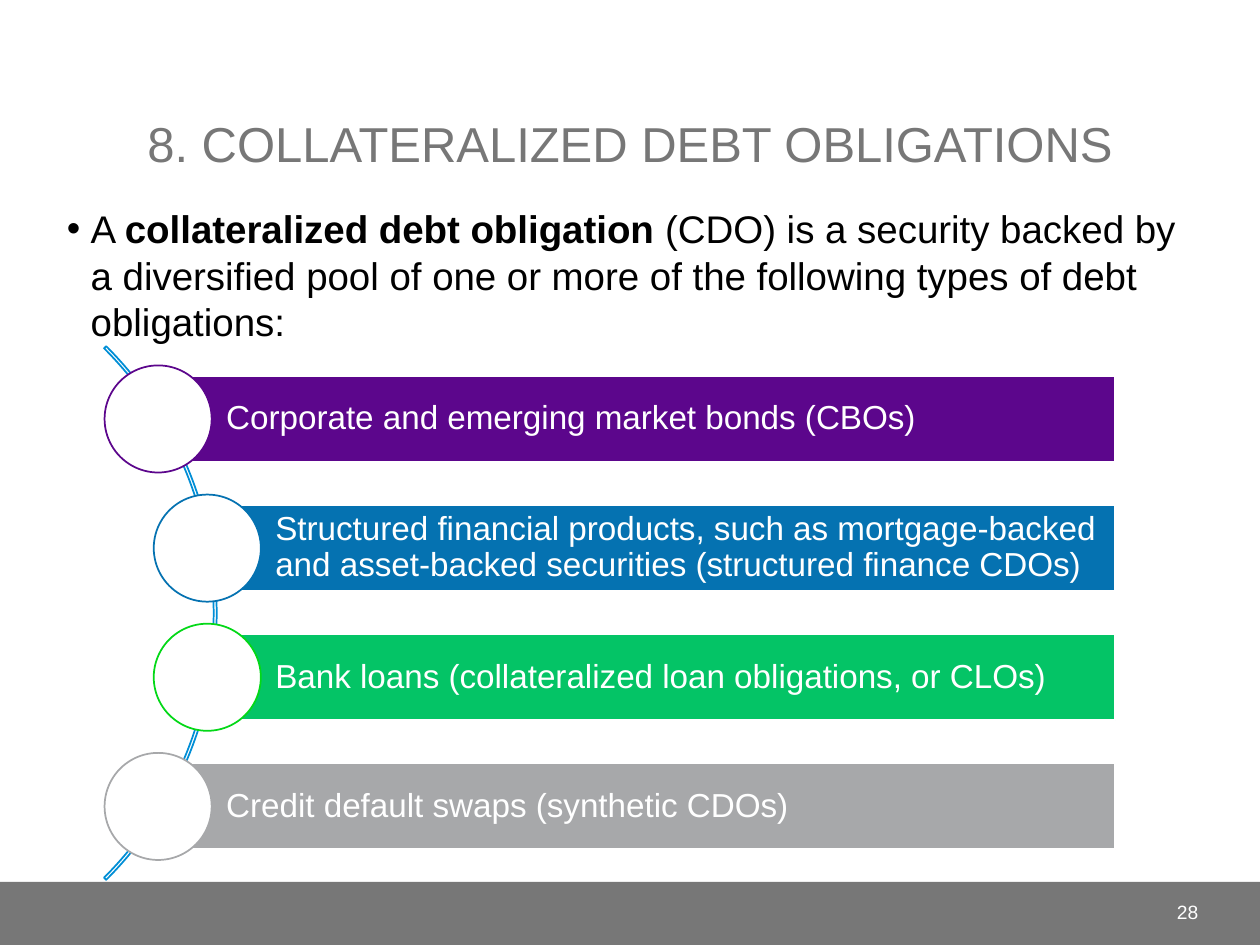
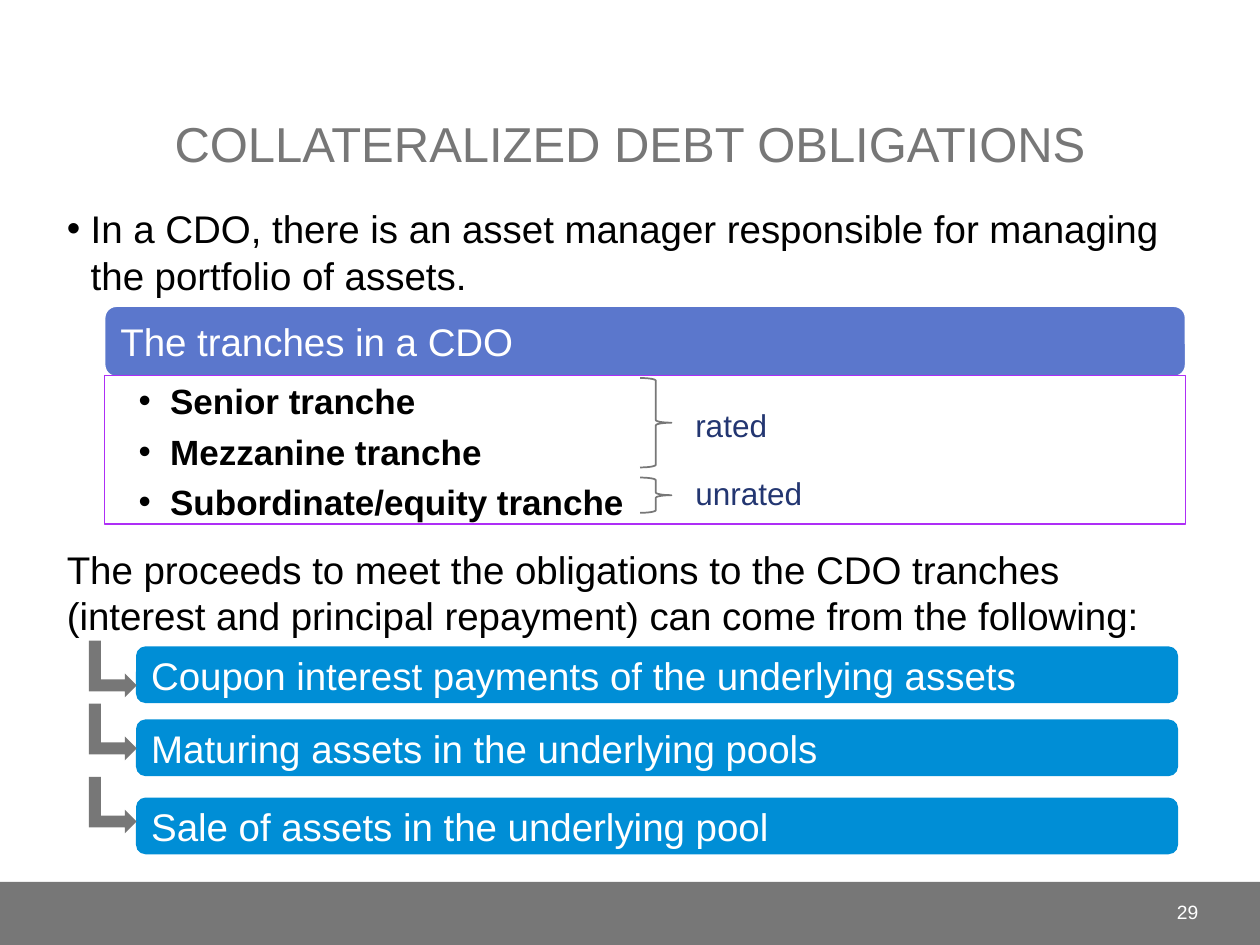
from lxml.etree import SubElement
from pptx import Presentation
from pptx.dml.color import RGBColor
from pptx.enum.shapes import MSO_SHAPE
from pptx.enum.text import MSO_ANCHOR, MSO_AUTO_SIZE, PP_ALIGN
from pptx.oxml.ns import qn
from pptx.util import Inches, Pt

FONT = "Arial"
WHITE = RGBColor(0xFF, 0xFF, 0xFF)
BLACK = RGBColor(0x00, 0x00, 0x00)
GREY = RGBColor(0x77, 0x77, 0x77)
BLUE = RGBColor(0x00, 0x8E, 0xD6)
NAVY = RGBColor(0x23, 0x36, 0x71)
PERIWINKLE = RGBColor(0x5B, 0x77, 0xCC)
VIOLET = RGBColor(0xAE, 0x2E, 0xF6)
PURPLE = RGBColor(0x5C, 0x06, 0x8C)
OCEAN = RGBColor(0x05, 0x72, 0xB1)
GREEN = RGBColor(0x04, 0xC4, 0x66)
LIME = RGBColor(0x03, 0xD8, 0x17)
SILVER = RGBColor(0xA7, 0xA8, 0xAA)

DEFINITION = [
    ("A ", False),
    ("collateralized debt obligation ", True),
    ("(CDO) is a security backed by a diversified pool of one or more of the "
     "following types of debt obligations:", False),
]
# text, bar colour, circle outline, left edge of the circle
DEBT_TYPES = [
    ("Corporate and emerging market bonds (CBOs)", PURPLE, PURPLE, 0.83),
    ("Structured financial products, such as mortgage-backed and asset-backed "
     "securities (structured finance CDOs)", OCEAN, OCEAN, 1.22),
    ("Bank loans (collateralized loan obligations, or CLOs)", GREEN, LIME, 1.22),
    ("Credit default swaps (synthetic CDOs)", SILVER, SILVER, 0.83),
]
MANAGER = [("In a CDO, there is an asset manager responsible for managing the "
            "portfolio of assets.", False)]
PROCEEDS = [("The proceeds to meet the obligations to the CDO tranches (interest "
             "and principal repayment) can come from the following:", False)]
TRANCHES = ["Senior tranche", "Mezzanine tranche", "Subordinate/equity tranche"]
# label, label top, brace top, brace height
RATINGS = [("rated", 3.17, 3.0, 0.71), ("unrated", 3.71, 3.79, 0.28)]
# text, bar top, arrow top
PROCEEDS_SOURCES = [
    ("Coupon interest payments of the underlying assets", 5.13, 5.12),
    ("Maturing assets in the underlying pools", 5.71, 5.62),
    ("Sale of assets in the underlying pool", 6.33, 6.2),
]


def format_runs(paragraph, size, color, bold=False):
    for run in paragraph.runs:
        run.font.name = FONT
        run.font.size = Pt(size)
        run.font.color.rgb = color
        run.font.bold = bold


def set_bullet(paragraph, margin, indent, bullet=None):
    properties = paragraph._p.get_or_add_pPr()
    properties.set("marL", str(Inches(margin)))
    properties.set("indent", str(Inches(indent)))
    if bullet:
        SubElement(properties, qn("a:buFont")).set("typeface", FONT)
        SubElement(properties, qn("a:buChar")).set("char", bullet)
    else:
        SubElement(properties, qn("a:buNone"))


def set_margins(text_frame, left, top, right, bottom):
    text_frame.margin_left, text_frame.margin_top = Inches(left), Inches(top)
    text_frame.margin_right, text_frame.margin_bottom = Inches(right), Inches(bottom)


def place(shape, left, top, width, height):
    shape.left, shape.top = Inches(left), Inches(top)
    shape.width, shape.height = Inches(width), Inches(height)


def add_shape(slide, kind, box, fill=None, line=None, line_width=1):
    shape = slide.shapes.add_shape(kind, *map(Inches, box))
    shape.shadow.inherit = False
    if fill is None:
        shape.fill.background()
    else:
        shape.fill.solid()
        shape.fill.fore_color.rgb = fill
    if line is None:
        shape.line.fill.background()
    else:
        shape.line.color.rgb = line
        shape.line.width = Pt(line_width)
    return shape


def write_label(shape, text, size, color=WHITE, align=PP_ALIGN.LEFT,
                anchor=MSO_ANCHOR.MIDDLE):
    text_frame = shape.text_frame
    text_frame.word_wrap = True
    text_frame.vertical_anchor = anchor
    text_frame.text = text
    paragraph = text_frame.paragraphs[0]
    paragraph.alignment = align
    format_runs(paragraph, size, color)
    return paragraph


def add_label(slide, box, text, size, color, **options):
    write_label(slide.shapes.add_textbox(*map(Inches, box)), text, size, color, **options)


def write_body_paragraph(paragraph, parts, space_before):
    for text, bold in parts:
        run = paragraph.add_run()
        run.text = text
        format_runs(paragraph, 22, BLACK)
    for run, (_, bold) in zip(paragraph.runs, parts):
        run.font.bold = bold
    paragraph.space_before, paragraph.space_after = Pt(space_before), Pt(3)


def add_content_slide(presentation, title, lead, number, body_height):
    """Add a slide with its title, bulleted lead and number; return it and its body."""
    slide = presentation.slides.add_slide(presentation.slide_layouts[1])
    heading, body = slide.placeholders
    place(heading, 0.42, 0.17, 9.16, 1.25)
    write_label(heading, title, 28, GREY, PP_ALIGN.CENTER, MSO_ANCHOR.BOTTOM)
    place(body, 0.42, 1.58, 9.16, body_height)
    for placeholder in (heading, body):
        placeholder.text_frame.auto_size = MSO_AUTO_SIZE.NONE
    paragraph = body.text_frame.paragraphs[0]
    write_body_paragraph(paragraph, lead, 3)
    set_bullet(paragraph, 0.2, -0.19, "•")
    add_label(slide, (8.75, 7.04, 0.86, 0.4), str(number), 11, WHITE,
              align=PP_ALIGN.RIGHT)
    return slide, body


def add_footer_band(presentation, slide):
    """Draw the band and move it to the master, behind every slide."""
    band = add_shape(slide, MSO_SHAPE.RECTANGLE, (0, 7, 10, 0.5), GREY)
    presentation.slide_master.shapes.element.insert(2, band.element)


def add_debt_types(slide):
    first_top, pitch, diameter = 2.9, 1.025, 0.85
    bar_right, bar_height = 8.85, 0.68
    arc = add_shape(slide, MSO_SHAPE.BLOCK_ARC, (-4.27, 1.87, 5.99, 5.99), line=BLUE)
    for index, value in enumerate((189, 27, 0.004)):
        arc.adjustments[index] = value
    for row, (text, fill, outline, circle_left) in enumerate(DEBT_TYPES):
        circle_top = first_top + row * pitch
        bar_left = circle_left + diameter / 2
        bar_top = circle_top + (diameter - bar_height) / 2
        bar = add_shape(slide, MSO_SHAPE.RECTANGLE,
                        (bar_left, bar_top, bar_right - bar_left, bar_height),
                        fill, WHITE)
        write_label(bar, text, 19).line_spacing = 0.9
        set_margins(bar.text_frame, 0.54, 0.05, 0.05, 0.05)
        add_shape(slide, MSO_SHAPE.OVAL,
                  (circle_left, circle_top, diameter, diameter), WHITE, outline)


def add_tranches(slide):
    header = add_shape(slide, MSO_SHAPE.ROUNDED_RECTANGLE, (0.83, 2.43, 8.58, 0.56),
                       PERIWINKLE, WHITE)
    write_label(header, "The tranches in a CDO", 22)
    panel = add_shape(slide, MSO_SHAPE.RECTANGLE, (0.83, 2.98, 8.58, 1.18),
                      line=VIOLET, line_width=0.75)
    text_frame = panel.text_frame
    text_frame.vertical_anchor = MSO_ANCHOR.TOP
    set_margins(text_frame, 0.27, 0.03, 0.16, 0.03)
    text_frame.text = "\n".join(TRANCHES)
    for paragraph in text_frame.paragraphs:
        paragraph.alignment = PP_ALIGN.LEFT
        paragraph.space_after = Pt(5)
        set_bullet(paragraph, 0.25, -0.25, "•")
        format_runs(paragraph, 20, BLACK, bold=True)
    for label, label_top, brace_top, brace_height in RATINGS:
        add_shape(slide, MSO_SHAPE.RIGHT_BRACE, (5.08, brace_top, 0.25, brace_height),
                  line=GREY)
        add_label(slide, (5.42, label_top, 1.67, 0.46), label, 18, NAVY,
                  anchor=MSO_ANCHOR.TOP)


def add_proceeds_sources(slide):
    for text, bar_top, arrow_top in PROCEEDS_SOURCES:
        bar = add_shape(slide, MSO_SHAPE.ROUNDED_RECTANGLE, (1.08, bar_top, 8.27, 0.45),
                        BLUE)
        write_label(bar, text, 22)
        arrow = add_shape(slide, MSO_SHAPE.BENT_UP_ARROW, (0.67, arrow_top, 0.45, 0.38),
                          GREY)
        arrow.rotation = 90


def main():
    presentation = Presentation()
    presentation.slide_width, presentation.slide_height = Inches(10), Inches(7.5)

    slide, _ = add_content_slide(presentation, "8. COLLATERALIZED DEBT OBLIGATIONS",
                                 DEFINITION, 28, 1.42)
    add_footer_band(presentation, slide)
    add_debt_types(slide)

    slide, body = add_content_slide(presentation, "COLLATERALIZED DEBT OBLIGATIONS",
                                    MANAGER, 29, 5.17)
    paragraph = body.text_frame.add_paragraph()
    write_body_paragraph(paragraph, PROCEEDS, 139)
    set_bullet(paragraph, 0.01, 0)
    add_tranches(slide)
    add_proceeds_sources(slide)

    presentation.save("out.pptx")


if __name__ == "__main__":
    main()
